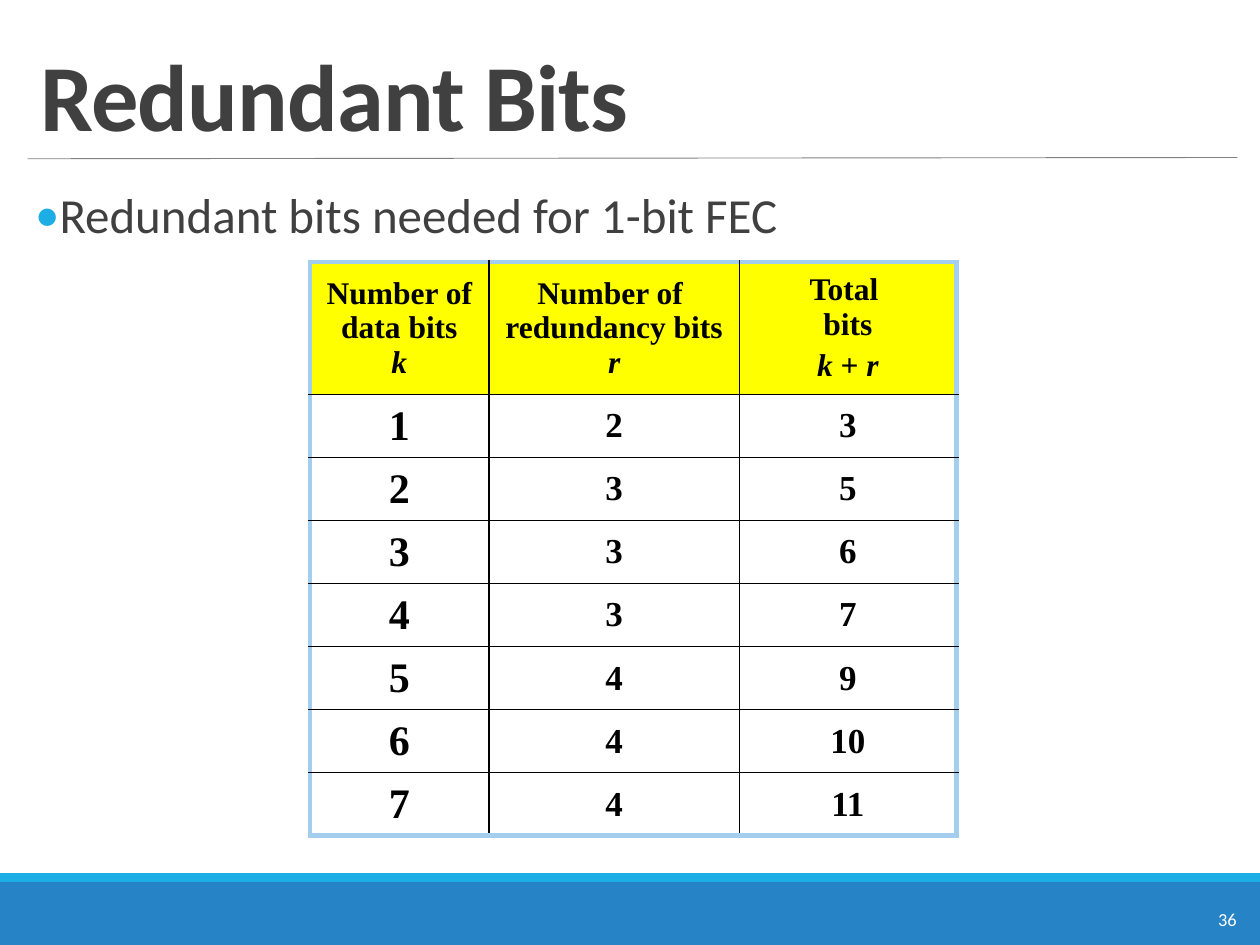
from dataclasses import dataclass

from lxml import etree
from pptx import Presentation
from pptx.dml.color import RGBColor
from pptx.enum.shapes import MSO_CONNECTOR, MSO_SHAPE
from pptx.enum.text import MSO_ANCHOR, MSO_AUTO_SIZE, PP_ALIGN
from pptx.oxml.ns import qn
from pptx.util import Inches, Pt

RECTANGLE = MSO_SHAPE.RECTANGLE
STRAIGHT = MSO_CONNECTOR.STRAIGHT
MIDDLE, BOTTOM = MSO_ANCHOR.MIDDLE, MSO_ANCHOR.BOTTOM
CENTER, LEFT = PP_ALIGN.CENTER, PP_ALIGN.LEFT
NO_AUTOFIT = MSO_AUTO_SIZE.NONE

WHITE = RGBColor(0xFF, 0xFF, 0xFF)
BLACK = RGBColor(0, 0, 0)
GRAY = RGBColor(0x80, 0x80, 0x80)
CHARCOAL = RGBColor(0x40, 0x40, 0x40)
BLUE = RGBColor(0x26, 0x83, 0xC6)
CYAN = RGBColor(0x1C, 0xAD, 0xE4)
PALE_BLUE = RGBColor(0xA3, 0xCE, 0xED)
YELLOW = RGBColor(0xFF, 0xFF, 0)

SLIDE_WIDTH, SLIDE_HEIGHT = Inches(10), Inches(7.5)
MARGIN, CONTENT_WIDTH = Inches(0.22), Inches(9.6)
LABEL_FONT, TABLE_FONT = "Calibri", "Times New Roman"


@dataclass(frozen=True)
class Band:
    top: float
    height: float
    color: RGBColor


@dataclass(frozen=True)
class Border:
    color: RGBColor
    points: float


@dataclass(frozen=True)
class Span:
    text: str
    italic: bool = False


BANDS = [Band(7, 0.5, BLUE), Band(6.93, 0.07, CYAN)]
INNER, OUTER = Border(BLACK, 1), Border(PALE_BLUE, 3)
K, R = Span("k", italic=True), Span("r", italic=True)

# Each heading holds paragraphs, which hold lines, which hold spans.
HEADINGS = [
    [[[Span("Number of")], [Span("data bits")], [K]]],
    [[[Span("Number of ")], [Span("redundancy bits")], [R]]],
    [[[Span("Total ")], [Span("bits")]], [[K, Span(" + "), R]]],
]
REDUNDANT_BITS = [2, 3, 3, 3, 4, 4, 4]
COLUMN_WIDTHS = [1.42, 1.99, 1.72]
ROW_HEIGHTS = [0.75, 0.41, 0.4] + [0.5] * 5
HEADING_SIZE, VALUE_SIZES = 18, [24, 20, 20]


def style(para, font_name: str, size: float, color: RGBColor, bold: bool = False) -> None:
    para.font.name = font_name
    para.font.size = Pt(size)
    para.font.color.rgb = color
    para.font.bold = bold


def add_band(slide, band: Band) -> None:
    shape = slide.shapes.add_shape(
        RECTANGLE, 0, Inches(band.top), SLIDE_WIDTH, Inches(band.height))
    shape.shadow.inherit = False
    shape.fill.solid()
    shape.fill.fore_color.rgb = band.color
    shape.line.fill.background()


def add_rule(slide) -> None:
    rule = slide.shapes.add_connector(
        STRAIGHT, MARGIN, Inches(1.26), MARGIN + CONTENT_WIDTH, Inches(1.25))
    rule.line.color.rgb = GRAY
    rule.line.width = Pt(0.5)
    etree.SubElement(rule._element.spPr, qn("a:effectLst"))


def add_page_number(slide) -> None:
    box = slide.shapes.add_textbox(Inches(9.57), Inches(7.16), Inches(0.37), Inches(0.28))
    box.text_frame.word_wrap = False
    para = box.text_frame.paragraphs[0]
    para.text = "36"
    style(para, LABEL_FONT, 10.5, WHITE)


def set_title(slide) -> None:
    title = slide.shapes.title
    title.left, title.top = MARGIN, Inches(0.25)
    title.width, title.height = CONTENT_WIDTH, Inches(1)
    frame = title.text_frame
    frame.auto_size = NO_AUTOFIT
    frame.vertical_anchor = BOTTOM
    para = frame.paragraphs[0]
    para.text = "Redundant Bits"
    para.alignment = LEFT
    para.line_spacing = 0.85
    style(para, LABEL_FONT, 54, CHARCOAL, bold=True)
    para.runs[0].font._element.set("spc", "-50")


def add_bullet_text(slide) -> None:
    box = slide.shapes.add_textbox(MARGIN, Inches(1.47), CONTENT_WIDTH, Inches(4.95))
    frame = box.text_frame
    frame.word_wrap = True
    frame.margin_left = frame.margin_right = 0
    para = frame.paragraphs[0]
    para.text = "Redundant bits needed for 1-bit FEC"
    para.line_spacing = 0.9
    para.space_after = Pt(2)
    properties = para._p.get_or_add_pPr()
    properties.set("marL", str(Inches(0.25)))
    properties.set("indent", str(-Inches(0.19)))
    bullet_color = etree.SubElement(properties, qn("a:buClr"))
    etree.SubElement(bullet_color, qn("a:srgbClr"), val=str(CYAN))
    etree.SubElement(properties, qn("a:buFont"), typeface=LABEL_FONT)
    etree.SubElement(properties, qn("a:buChar"), char="•")
    style(para, LABEL_FONT, 28, CHARCOAL)


def set_borders(cell, borders: dict[str, Border]) -> None:
    properties = cell._tc.get_or_add_tcPr()
    for position, (side, border) in enumerate(borders.items()):
        line = etree.Element(qn(f"a:{side}"), w=str(Pt(border.points)))
        fill = etree.SubElement(line, qn("a:solidFill"))
        etree.SubElement(fill, qn("a:srgbClr"), val=str(border.color))
        properties.insert(position, line)


def fill_cell(cell, paragraphs: list[list[list[Span]]], size: float, color: RGBColor) -> None:
    cell.fill.solid()
    cell.fill.fore_color.rgb = color
    cell.vertical_anchor = MIDDLE
    frame = cell.text_frame
    for index, lines in enumerate(paragraphs):
        para = frame.add_paragraph() if index else frame.paragraphs[0]
        para.alignment = CENTER
        if index:
            para.space_before = Pt(0.2 * size)
        style(para, TABLE_FONT, size, BLACK, bold=True)
        for line_index, line in enumerate(lines):
            if line_index:
                para.add_line_break()
            for span in line:
                run = para.add_run()
                run.text = span.text
                if span.italic:
                    run.font.italic = True


def add_bits_table(slide) -> None:
    row_count, column_count = len(ROW_HEIGHTS), len(COLUMN_WIDTHS)
    table = slide.shapes.add_table(
        row_count, column_count, Inches(2.46), Inches(2.08),
        Inches(sum(COLUMN_WIDTHS)), Inches(sum(ROW_HEIGHTS))).table
    table.first_row = table.horz_banding = False
    for column, width in zip(table.columns, COLUMN_WIDTHS):
        column.width = Inches(width)
    for row, height in zip(table.rows, ROW_HEIGHTS):
        row.height = Inches(height)

    for column, heading in enumerate(HEADINGS):
        fill_cell(table.cell(0, column), heading, HEADING_SIZE, YELLOW)
    for data_bits, redundant in enumerate(REDUNDANT_BITS, start=1):
        values = [data_bits, redundant, data_bits + redundant]
        for column, (value, size) in enumerate(zip(values, VALUE_SIZES)):
            fill_cell(table.cell(data_bits, column), [[[Span(str(value))]]], size, WHITE)

    for row in range(row_count):
        for column in range(column_count):
            set_borders(table.cell(row, column), {
                "lnL": OUTER if column == 0 else INNER,
                "lnR": OUTER if column == column_count - 1 else INNER,
                "lnT": OUTER if row == 0 else INNER,
                "lnB": OUTER if row == row_count - 1 else INNER,
            })


def main() -> None:
    deck = Presentation()
    deck.slide_width, deck.slide_height = SLIDE_WIDTH, SLIDE_HEIGHT
    slide = deck.slides.add_slide(deck.slide_layouts.get_by_name("Title Only"))
    for band in BANDS:
        add_band(slide, band)
    add_rule(slide)
    add_page_number(slide)
    set_title(slide)
    add_bullet_text(slide)
    add_bits_table(slide)
    deck.save("out.pptx")


if __name__ == "__main__":
    main()
